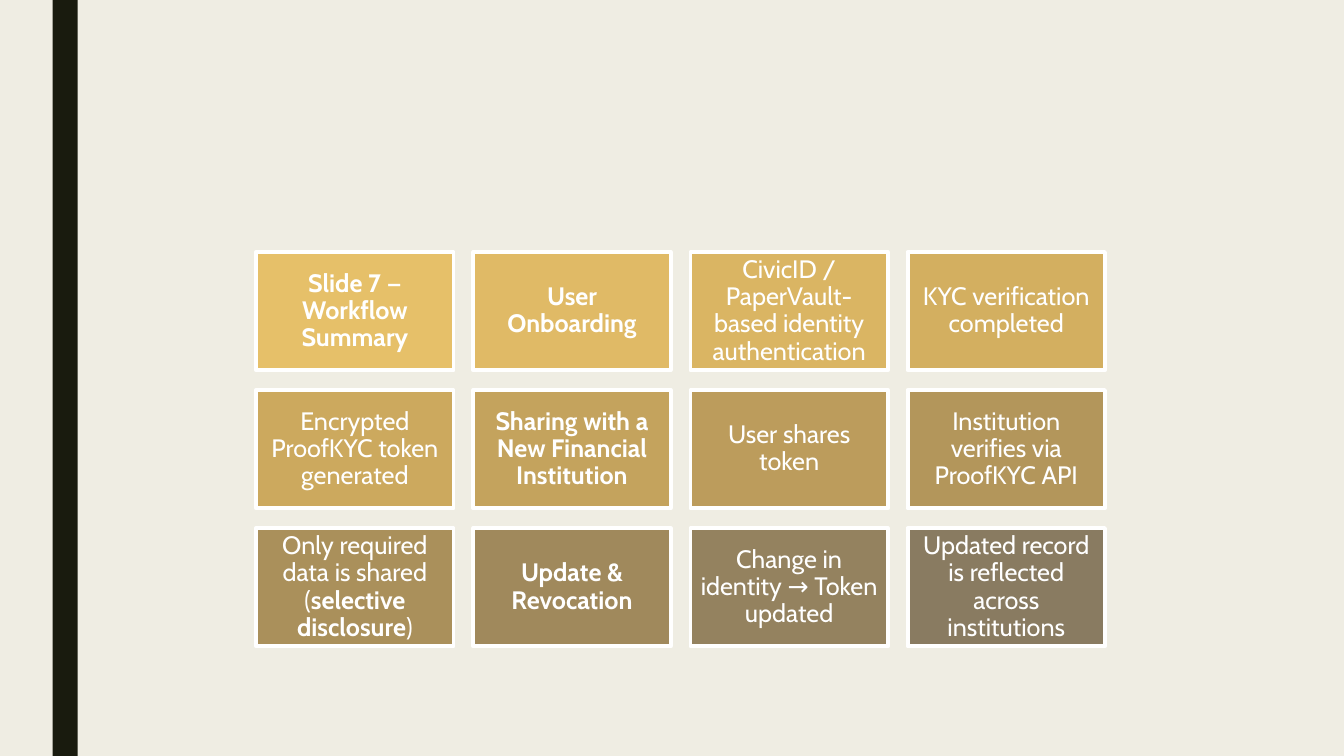
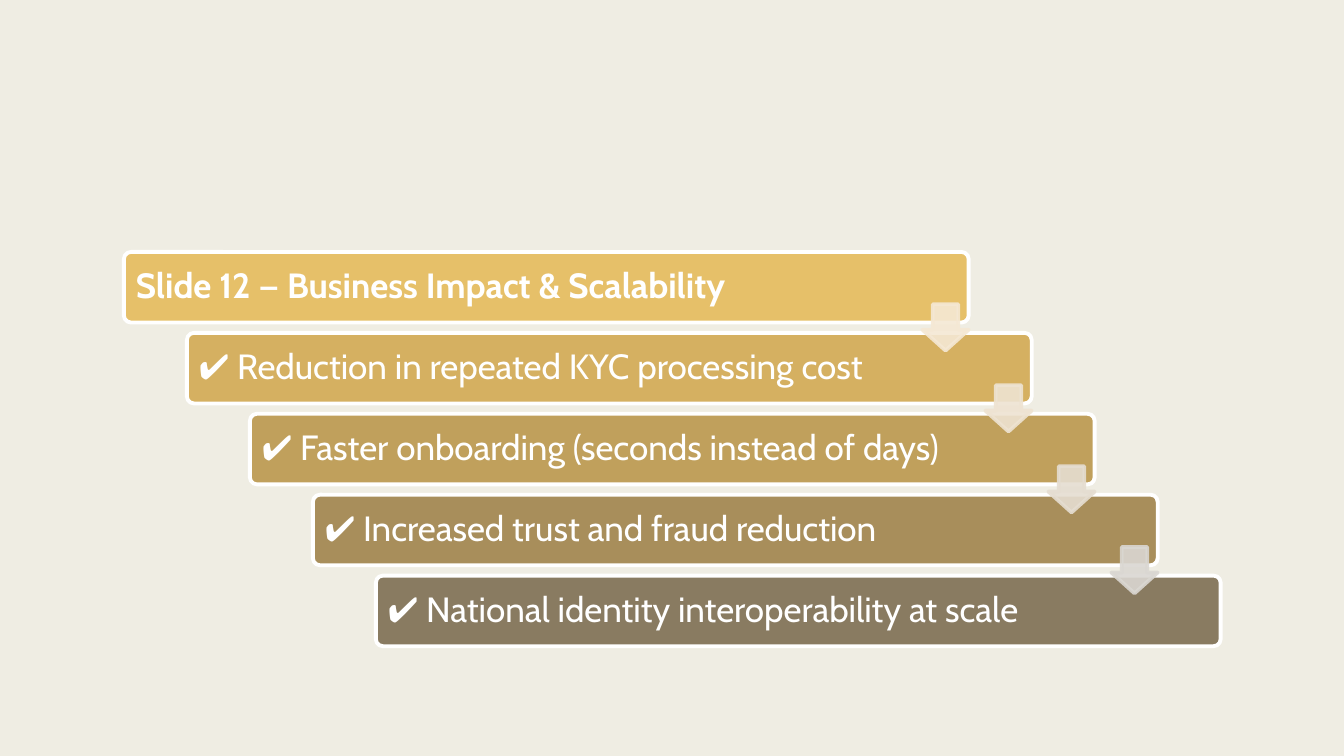
from lxml.etree import SubElement
from pptx import Presentation
from pptx.dml.color import RGBColor
from pptx.enum.shapes import MSO_SHAPE
from pptx.enum.text import MSO_ANCHOR, PP_ALIGN
from pptx.oxml.ns import qn
from pptx.util import Pt

SLIDE_WIDTH, SLIDE_HEIGHT = 960, 540
PAPER = RGBColor(0xEF, 0xED, 0xE3)
BAND = RGBColor(0x19, 0x1B, 0x0E)
WHITE = RGBColor(0xFF, 0xFF, 0xFF)
GOLD = RGBColor(0xE6, 0xC0, 0x69)
TAUPE = RGBColor(0x89, 0x7B, 0x61)
CARD_COLOURS = [
    GOLD, RGBColor(0xE0, 0xBA, 0x66), RGBColor(0xDA, 0xB5, 0x63), RGBColor(0xD3, 0xAF, 0x60),
    RGBColor(0xCC, 0xA9, 0x5E), RGBColor(0xC4, 0xA3, 0x5D), RGBColor(0xBC, 0x9C, 0x5C),
    RGBColor(0xB3, 0x96, 0x5B), RGBColor(0xAA, 0x90, 0x5B), RGBColor(0xA0, 0x89, 0x5C),
    RGBColor(0x94, 0x82, 0x5F), TAUPE,
]
BAR_COLOURS = [
    GOLD, RGBColor(0xD5, 0xB0, 0x61), RGBColor(0xC0, 0xA0, 0x5C), RGBColor(0xA8, 0x8E, 0x5B), TAUPE,
]
ARROW_COLOURS = [
    RGBColor(0xF5, 0xE8, 0xD4), RGBColor(0xEE, 0xE3, 0xD2),
    RGBColor(0xE5, 0xDD, 0xD1), RGBColor(0xDA, 0xD7, 0xD2),
]

FONT = "Cabin"
OUTLINE = 2.75
CARD_STYLE = {"size": 18, "inset": 5, "align": PP_ALIGN.CENTER}
BAR_STYLE = {"size": 25, "inset": 7.2, "align": PP_ALIGN.LEFT}

WORKFLOW = [
    [("Slide 7 — Workflow Summary", True)],
    [("User Onboarding", True)],
    [("CivicID / PaperVault-based identity authentication", False)],
    [("KYC verification completed", False)],
    [("Encrypted ProofKYC token generated", False)],
    [("Sharing with a New Financial Institution", True)],
    [("User shares token", False)],
    [("Institution verifies via ProofKYC API", False)],
    [("Only required data is shared (", False), ("selective disclosure", True), (")", False)],
    [("Update & Revocation", True)],
    [("Change in identity → Token updated", False)],
    [("Updated record is reflected across institutions", False)],
]
IMPACTS = [
    [("Slide 12 — Business Impact & Scalability", True)],
    [("✔ Reduction in repeated KYC processing cost", False)],
    [("✔ Faster onboarding (seconds instead of days)", False)],
    [("✔ Increased trust and fraud reduction", False)],
    [("✔ National identity interoperability at scale", False)],
]


def set_all(target, values):
    for name, value in values.items():
        setattr(target, name, value)


def add_block(slide, kind, box, fill, outline=None, adjustments=()):
    block = slide.shapes.add_shape(kind, *(Pt(length) for length in box))
    block.shadow.inherit = False
    block.fill.solid()
    block.fill.fore_color.rgb = fill
    if outline is None:
        block.line.fill.background()
    else:
        block.line.color.rgb = outline
        block.line.width = Pt(OUTLINE)
    for index, value in enumerate(adjustments):
        block.adjustments[index] = value
    return block


def write_label(block, runs, style):
    inset = Pt(style["inset"])
    frame = block.text_frame
    set_all(frame, {
        "word_wrap": True, "vertical_anchor": MSO_ANCHOR.MIDDLE,
        "margin_left": inset, "margin_right": inset,
        "margin_top": inset, "margin_bottom": inset,
    })
    paragraph = frame.paragraphs[0]
    set_all(paragraph, {"alignment": style["align"], "line_spacing": 0.9})
    for text, bold in runs:
        run = paragraph.add_run()
        run.text = text
        set_all(run.font, {"name": FONT, "size": Pt(style["size"]), "bold": bold})
        run.font.color.rgb = WHITE


def make_translucent(block, percent):
    for colour in block.element.spPr.iter(qn("a:srgbClr")):
        SubElement(colour, qn("a:alpha"), val=str(percent * 1000))


def style_master(master, slide):
    master.background.fill.solid()
    master.background.fill.fore_color.rgb = PAPER
    band = add_block(slide, MSO_SHAPE.RECTANGLE, (37.5, 0, 18, SLIDE_HEIGHT), BAND)
    master.shapes.element.append(band.element)


def add_workflow_cards(slide):
    columns, left, top = 4, 183, 180
    width, height, column_step, row_step = 141, 84.5, 155.1, 98.6
    for index, (runs, colour) in enumerate(zip(WORKFLOW, CARD_COLOURS)):
        row, column = divmod(index, columns)
        box = (left + column * column_step, top + row * row_step, width, height)
        card = add_block(slide, MSO_SHAPE.RECTANGLE, box, colour, WHITE)
        write_label(card, runs, CARD_STYLE)


def add_impact_stairs(slide):
    left, top, width, height = 88.5, 180, 603.4, 50.4
    step_right, step_down = 45, 57.8
    arrow_size, arrow_rise = 33, 13
    for index, (runs, colour) in enumerate(zip(IMPACTS, BAR_COLOURS)):
        box = (left + index * step_right, top + index * step_down, width, height)
        bar = add_block(slide, MSO_SHAPE.ROUNDED_RECTANGLE, box, colour, WHITE, [0.1])
        write_label(bar, runs, BAR_STYLE)
    for index, colour in enumerate(ARROW_COLOURS):
        box = (left + width - arrow_size + index * step_right,
               top + height - arrow_rise + index * step_down, arrow_size, arrow_size)
        arrow = add_block(slide, MSO_SHAPE.DOWN_ARROW, box, colour, colour, [0.55, 0.45])
        make_translucent(arrow, 90)


def main():
    deck = Presentation()
    set_all(deck, {"slide_width": Pt(SLIDE_WIDTH), "slide_height": Pt(SLIDE_HEIGHT)})
    blank = deck.slide_layouts.get_by_name("Blank")

    workflow = deck.slides.add_slide(blank)
    style_master(deck.slide_master, workflow)
    add_workflow_cards(workflow)

    impact = deck.slides.add_slide(blank)
    add_block(impact, MSO_SHAPE.RECTANGLE, (0, 0, SLIDE_WIDTH, SLIDE_HEIGHT), PAPER)
    add_impact_stairs(impact)

    deck.save("out.pptx")


if __name__ == "__main__":
    main()
